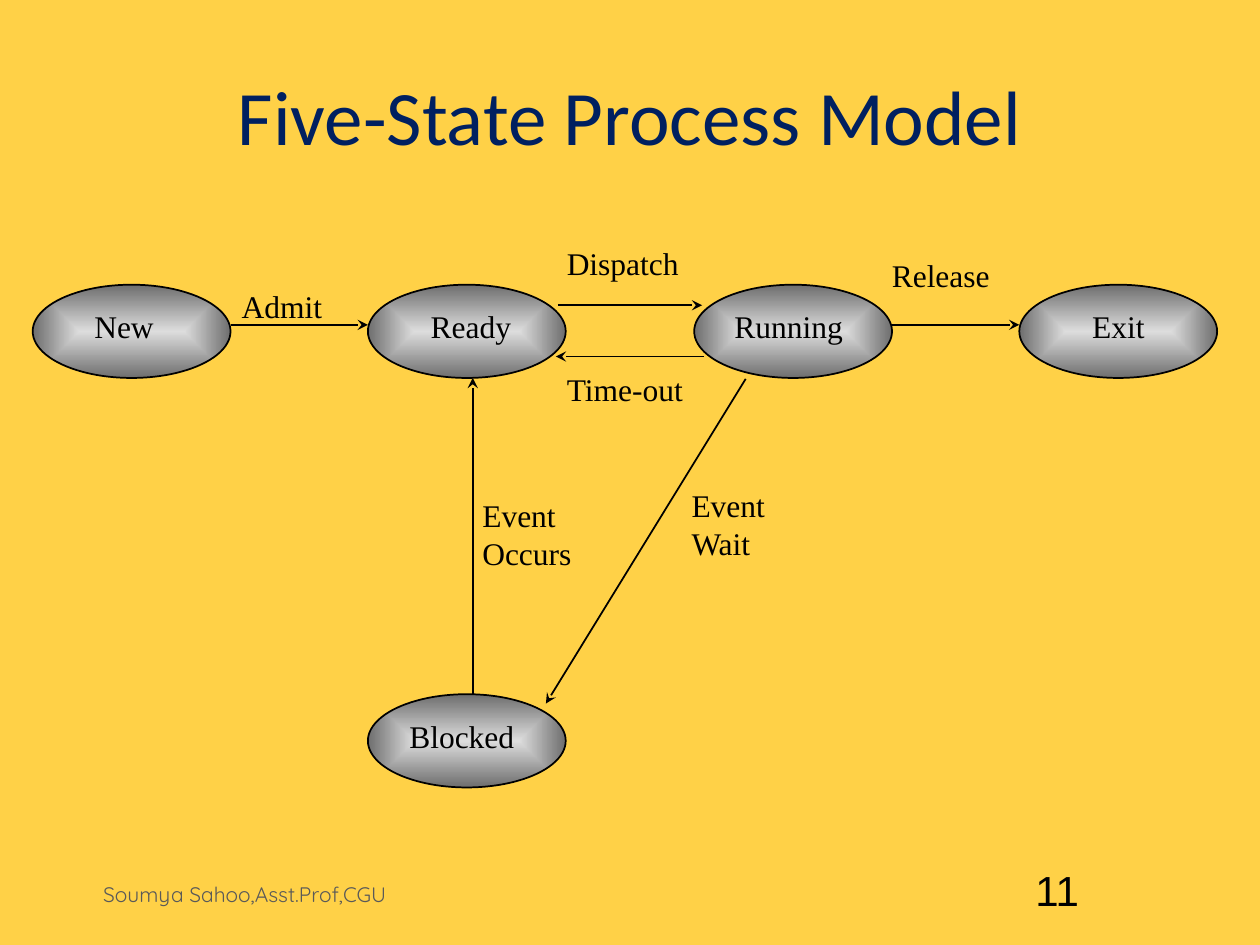
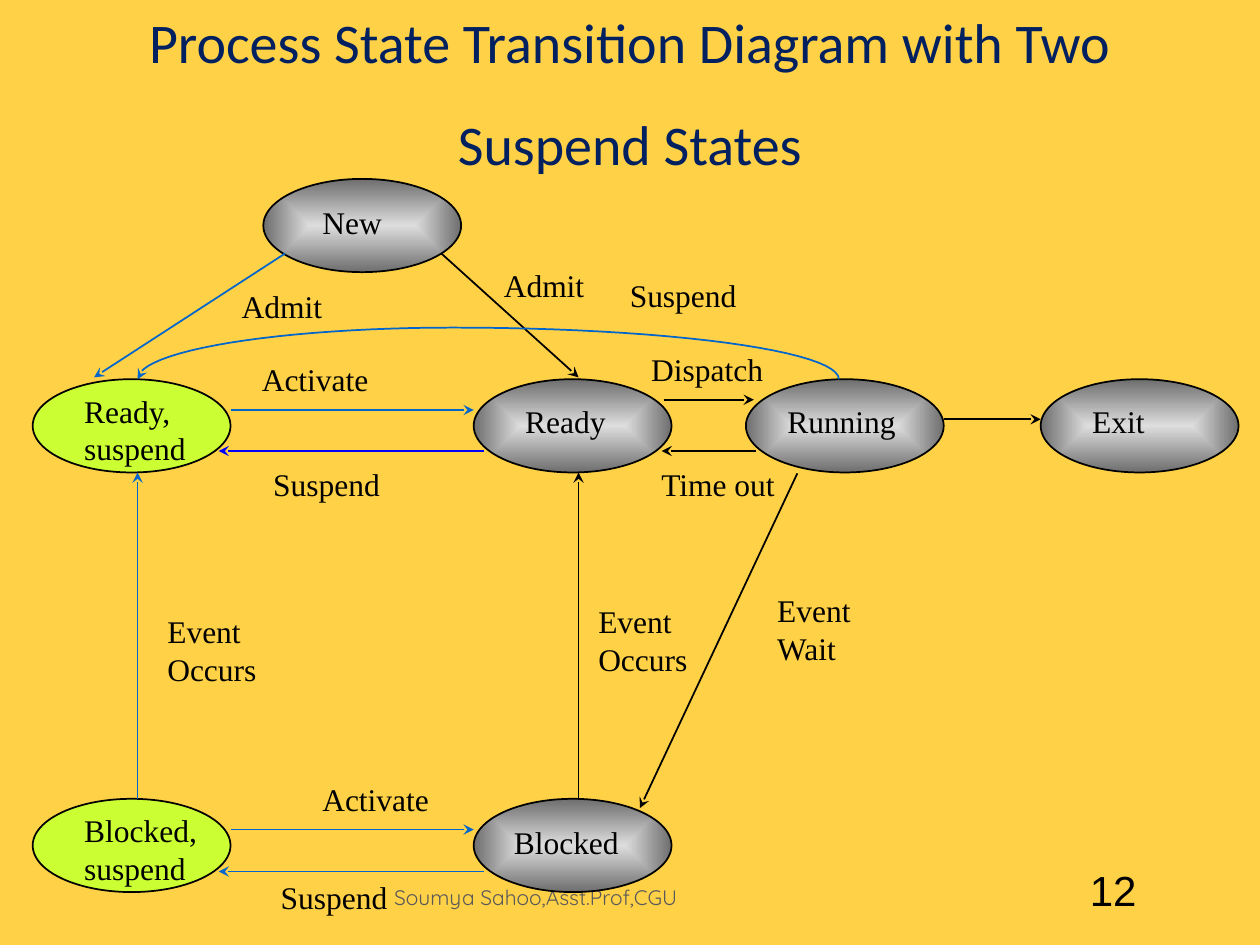
from math import cos, pi, sin

from lxml.etree import SubElement
from pptx import Presentation
from pptx.dml.color import RGBColor
from pptx.enum.shapes import MSO_CONNECTOR, MSO_SHAPE
from pptx.enum.text import MSO_ANCHOR, MSO_AUTO_SIZE, PP_ALIGN
from pptx.oxml.ns import qn
from pptx.util import Inches, Pt

# Shared look
COLORS = {"back": "FFD147", "title": "002060", "footer": "595959", "black": "000000",
          "light": "DDDDDD", "dark": "6E6E6E", "lime": "CCFF33",
          "blue": "0066CC", "violet": "0000FF"}
LABEL_FONT = "Times New Roman"
FOOTER = "Soumya Sahoo,Asst.Prof,CGU"
STATE_W, STATE_H = 1.57, 0.74
# Box widths leave a little room so that no word breaks
LABEL_WIDTHS = {"New": 0.72, "Ready": 0.89, "Running": 1.11, "Exit": 0.68, "Blocked": 1.08,
                "Ready,\nsuspend": 1.1, "Blocked,\nsuspend": 1.18, "Admit": 0.89,
                "Dispatch": 1.14, "Release": 1.03, "Time-out": 1.18, "Time out": 1.16,
                "Event\nOccurs": 0.96, "Event\nWait": 0.83, "Activate": 1.1, "Suspend": 1.1}

# Frames are left, top, width, height in inches.
# States: name -> column, row, fill, offset of the name inside the ellipse.
# Arrows: state and share of its width and height, at both ends, then colour.
PAGES = [
    {
        "title": ("Five-State Process Model", 44, (0.5, 0, 9, 1.75)),
        "footer": (0.72, 6.95, 3.11, 0.4),
        "number": ("11", (7.36, 6.81, 2.08, 0.5)),
        "columns": (0.26, 2.92, 5.51, 8.09),
        "rows": (2.26, 5.51),
        "states": {
            "New": (0, 0, "metal", 0.39, 0.13),
            "Ready": (1, 0, "metal", 0.4, 0.13),
            "Running": (2, 0, "metal", 0.22, 0.13),
            "Exit": (3, 0, "metal", 0.48, 0.13),
            "Blocked": (1, 1, "metal", 0.23, 0.13),
        },
        "arrows": [
            ("New", 1, 0.43, "Ready", 0, 0.43, "black"),
            ("Blocked", 0.53, 0, "Ready", 0.53, 1, "black"),
            ("Running", 1, 0.43, "Exit", 0, 0.43, "black"),
            ("Ready", 0.96, 0.22, "Running", 0.04, 0.22, "black"),
            ("Running", 0.05, 0.77, "Ready", 0.95, 0.77, "black"),
            ("Running", 0.26, 1.01, "Blocked", 0.9, 0.1, "black"),
        ],
        "curves": [],
        "labels": [
            ("Admit", 1.82, 2.23), ("Event\nOccurs", 3.73, 3.89), ("Dispatch", 4.4, 1.89),
            ("Release", 6.98, 1.98), ("Time-out", 4.4, 2.89), ("Event\nWait", 5.39, 3.81),
        ],
    },
    {
        "title": ("Process State Transition Diagram with Two Suspend States", 32,
                  (0.75, -0.03, 8.5, 1.25)),
        "footer": (3.03, 6.97, 5.04, 0.35),
        "number": ("12", (8.25, 6.81, 1.19, 0.5)),
        "columns": (0.26, 2.09, 3.76, 5.92, 8.26),
        "rows": (1.42, 3.01, 6.34),
        "states": {
            "New": (1, 0, "metal", 0.37, 0.14),
            "Ready,\nsuspend": (0, 1, "lime", 0.31, 0.05),
            "Ready": (2, 1, "metal", 0.31, 0.13),
            "Running": (3, 1, "metal", 0.23, 0.13),
            "Exit": (4, 1, "metal", 0.31, 0.13),
            "Blocked,\nsuspend": (0, 2, "lime", 0.31, 0.05),
            "Blocked": (2, 2, "metal", 0.22, 0.14),
        },
        "arrows": [
            ("Ready,\nsuspend", 1, 0.33, "Ready", 0, 0.33, "blue"),
            ("Ready", 0.05, 0.77, "Ready,\nsuspend", 0.94, 0.77, "violet"),
            ("Ready", 0.96, 0.22, "Running", 0.04, 0.22, "black"),
            ("Running", 0.05, 0.77, "Ready", 0.95, 0.77, "black"),
            ("Running", 1, 0.43, "Exit", 0, 0.43, "black"),
            ("Running", 0.26, 1.01, "Blocked", 0.84, 0.1, "black"),
            ("Blocked", 0.53, 0, "Ready", 0.53, 1, "black"),
            ("Blocked", 0.05, 0.78, "Blocked,\nsuspend", 0.94, 0.78, "blue"),
            ("Blocked,\nsuspend", 0.53, 0, "Ready,\nsuspend", 0.53, 1, "blue"),
            ("Blocked,\nsuspend", 1, 0.33, "Blocked", 0, 0.33, "blue"),
            ("New", 0.11, 0.8, "Ready,\nsuspend", 0.31, -0.02, "blue"),
            ("New", 0.9, 0.8, "Ready", 0.53, -0.02, "black"),
        ],
        "curves": [("Running", 0.47, 0, "Ready,\nsuspend", 0.53, 0, "blue")],
        "labels": [
            ("Admit", 1.82, 2.23), ("Admit", 3.9, 2.06), ("Suspend", 4.9, 2.14),
            ("Dispatch", 5.07, 2.73), ("Time out", 5.15, 3.64), ("Event\nOccurs", 1.23, 4.81),
            ("Activate", 2.46, 6.14), ("Event\nOccurs", 4.65, 4.73), ("Activate", 1.98, 2.81),
            ("Suspend", 2.07, 3.64), ("Event\nWait", 6.07, 4.64), ("Suspend", 2.13, 6.92),
        ],
    },
]
CURVE_RISE, CURVE_APEX, CURVE_STEPS = 0.41, 0.55, 24


def rgb(name):
    return RGBColor.from_string(COLORS[name])


def add_text(page, text, frame, *, size=18, font=LABEL_FONT, color="black",
             align=PP_ALIGN.LEFT, anchor=MSO_ANCHOR.TOP, spacing=None):
    box = page.shapes.add_textbox(*map(Inches, frame))
    body = box.text_frame
    body.word_wrap = True
    body.auto_size = MSO_AUTO_SIZE.NONE
    body.vertical_anchor = anchor
    for index, line in enumerate(text.split("\n")):
        para = body.add_paragraph() if index else body.paragraphs[0]
        para.alignment = align
        if spacing:
            para.line_spacing = Pt(spacing)
        span = para.add_run()
        span.text = line
        span.font.size, span.font.name = Pt(size), font
        span.font.color.rgb = rgb(color)
    return box


def add_label(page, text, left, top):
    height = 0.1 + 0.3 * len(text.split("\n"))
    add_text(page, text, (left, top, LABEL_WIDTHS[text], height))


def add_number(page, text, frame):
    box = add_text(page, text, frame, size=24, align=PP_ALIGN.CENTER, anchor=MSO_ANCHOR.MIDDLE)
    box.text_frame.margin_left, box.text_frame.margin_right = Inches(0.03), Inches(0.05)
    para = box.text_frame.paragraphs[0]
    para._p.get_or_add_pPr().set("rtl", "1")
    # Right-to-left digits are drawn in the complex-script font
    SubElement(para.runs[0]._r.get_or_add_rPr(), qn("a:cs")).set("typeface", "Arial")


def fill_metal(shape):
    shape.fill.gradient()
    for stop, name in zip(shape.fill.gradient_stops, ("light", "dark")):
        stop.color.rgb = rgb(name)
    gradient = shape._element.spPr.find(qn("a:gradFill"))
    gradient.remove(gradient.find(qn("a:lin")))
    rings = SubElement(gradient, qn("a:path"))
    rings.set("path", "rect")
    center = SubElement(rings, qn("a:fillToRect"))
    for side in "ltrb":
        center.set(side, "50000")


def add_state(page, left, top, fill):
    shape = page.shapes.add_shape(MSO_SHAPE.OVAL, *map(Inches, (left, top, STATE_W, STATE_H)))
    shape.shadow.inherit = False
    shape.line.color.rgb, shape.line.width = rgb("black"), Pt(1)
    if fill == "metal":
        fill_metal(shape)
    else:
        shape.fill.solid()
        shape.fill.fore_color.rgb = rgb(fill)


def style_arrow(shape, color):
    shape.line.color.rgb, shape.line.width = rgb(color), Pt(1)
    SubElement(shape.line._get_or_add_ln(), qn("a:tailEnd")).set("type", "stealth")


def add_arrow(page, start, end, color):
    arrow = page.shapes.add_connector(MSO_CONNECTOR.STRAIGHT, *map(Inches, start + end))
    style_arrow(arrow, color)
    SubElement(arrow._element.spPr, qn("a:effectLst"))


def add_curve(page, start, end, color):
    """Two quarter ellipses that meet at the apex."""
    apex = start[0] + (end[0] - start[0]) * CURVE_APEX
    points = []
    for step in range(2 * CURVE_STEPS + 1):
        angle = pi / 2 * step / CURVE_STEPS
        side = start[0] if step <= CURVE_STEPS else end[0]
        points.append((Inches(apex + (side - apex) * abs(cos(angle))),
                       Inches(start[1] - CURVE_RISE * sin(angle))))
    builder = page.shapes.build_freeform(*points[0])
    builder.add_line_segments(points[1:], close=False)
    curve = builder.convert_to_shape()
    curve.shadow.inherit = False
    curve.fill.background()
    style_arrow(curve, color)


def build_page(deck, content):
    page = deck.slides.add_slide(deck.slide_layouts[6])
    page.background.fill.solid()
    page.background.fill.fore_color.rgb = rgb("back")

    # Title, footer, page number
    title, size, frame = content["title"]
    add_text(page, title, frame, size=size, font="Calibri", color="title",
             align=PP_ALIGN.CENTER, anchor=MSO_ANCHOR.MIDDLE, spacing=58)
    add_text(page, FOOTER, content["footer"], size=12, font="Quicksand", color="footer")
    add_number(page, *content["number"])

    # States
    corners = {}
    for name, (column, row, fill, *_) in content["states"].items():
        corners[name] = content["columns"][column], content["rows"][row]
        add_state(page, *corners[name], fill)

    # Transitions
    def spot(name, across, down):
        left, top = corners[name]
        return left + across * STATE_W, top + down * STATE_H

    for draw, links in ((add_arrow, content["arrows"]), (add_curve, content["curves"])):
        for link in links:
            draw(page, spot(*link[:3]), spot(*link[3:6]), link[6])

    # Names and labels
    for name, (*_, across, down) in content["states"].items():
        left, top = corners[name]
        add_label(page, name, left + across, top + down)
    for label in content["labels"]:
        add_label(page, *label)


def main():
    deck = Presentation()
    deck.slide_width, deck.slide_height = Inches(10), Inches(7.5)
    for content in PAGES:
        build_page(deck, content)
    deck.save("out.pptx")


if __name__ == "__main__":
    main()
